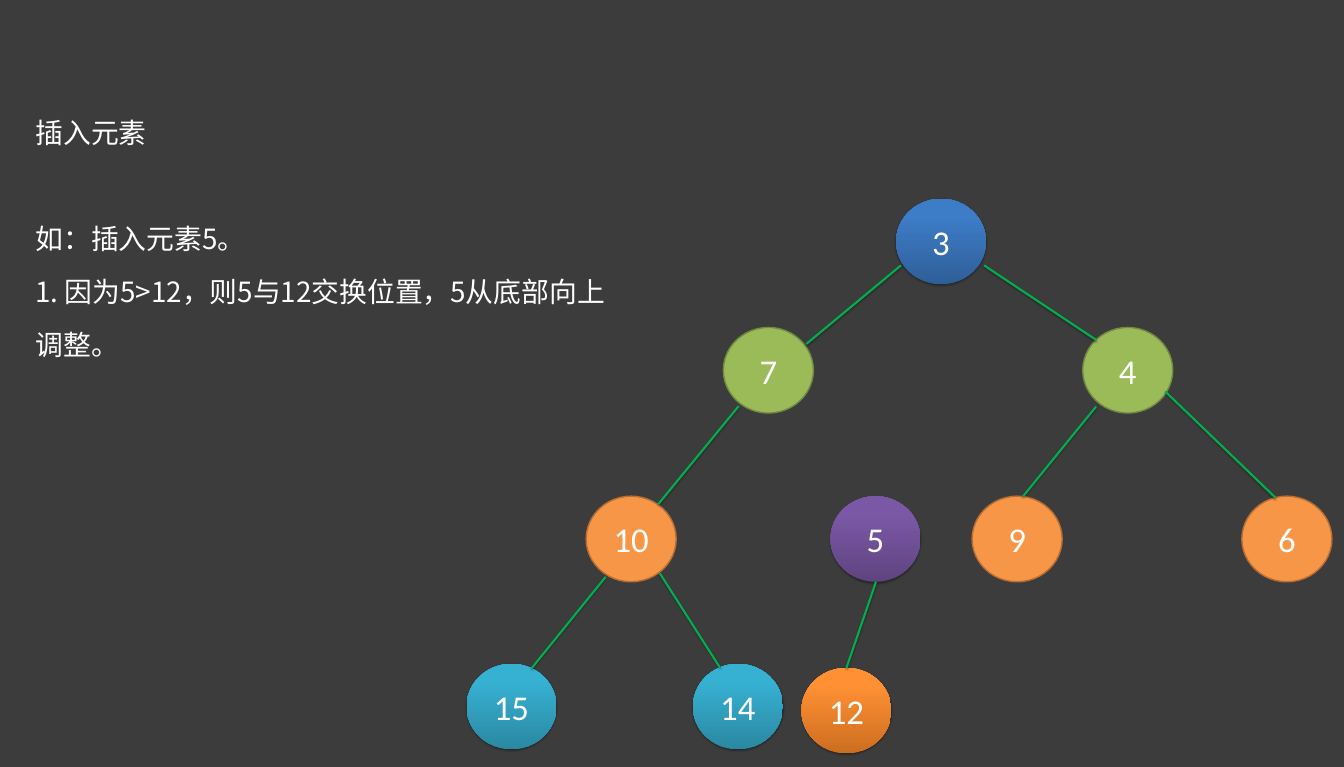
from lxml.etree import SubElement
from pptx import Presentation
from pptx.dml.color import RGBColor
from pptx.enum.shapes import MSO_CONNECTOR, MSO_SHAPE
from pptx.enum.text import MSO_ANCHOR, MSO_AUTO_SIZE, PP_ALIGN
from pptx.oxml import parse_xml
from pptx.oxml.ns import nsdecls, qn
from pptx.util import Inches, Pt

STRAIGHT = MSO_CONNECTOR.STRAIGHT
OVAL = MSO_SHAPE.OVAL
TOP, MIDDLE = MSO_ANCHOR.TOP, MSO_ANCHOR.MIDDLE
LEFT, CENTER = PP_ALIGN.LEFT, PP_ALIGN.CENTER

BACKGROUND = RGBColor(0x3C, 0x3C, 0x3C)
WHITE = RGBColor(0xFF, 0xFF, 0xFF)
EDGE_GREEN = RGBColor(0x00, 0xB0, 0x50)
GREEN, GREEN_LINE = RGBColor(0x9B, 0xBB, 0x59), RGBColor(0x73, 0x8A, 0x42)
ORANGE, ORANGE_LINE = RGBColor(0xF7, 0x96, 0x46), RGBColor(0xB7, 0x6F, 0x34)
BLUE_DARK, BLUE = RGBColor(0x2F, 0x5F, 0x99), RGBColor(0x3D, 0x7C, 0xC7)
PURPLE_DARK, PURPLE = RGBColor(0x5F, 0x44, 0x80), RGBColor(0x7B, 0x58, 0xA6)
TEAL_DARK, TEAL = RGBColor(0x2A, 0x88, 0xA2), RGBColor(0x37, 0xB1, 0xD2)
AMBER_DARK, AMBER = RGBColor(0xCC, 0x6E, 0x20), RGBColor(0xFF, 0x90, 0x34)

# Node centres, in percent of the slide: label, x, y
FLAT_NODES = [
    ("7", 57.17, 48.27, GREEN, GREEN_LINE),
    ("4", 83.91, 48.27, GREEN, GREEN_LINE),
    ("10", 46.96, 70.27, ORANGE, ORANGE_LINE),
    ("9", 75.68, 70.27, ORANGE, ORANGE_LINE),
    ("6", 95.75, 70.27, ORANGE, ORANGE_LINE),
]
GRADIENT_NODES = [
    ("3", 70.02, 31.49, BLUE_DARK, BLUE),
    ("5", 65.14, 70.27, PURPLE_DARK, PURPLE),
    ("15", 38.06, 92.13, TEAL_DARK, TEAL),
    ("14", 54.9, 92.13, TEAL_DARK, TEAL),
    ("12", 62.98, 92.66, AMBER_DARK, AMBER),
]
# Edge ends, in percent of the slide: parent x, y, child x, y
EDGES = [
    (67.04, 34.6, 60, 44.84),
    (73.22, 34.6, 81.56, 44.32),
    (54.97, 52.94, 48.98, 65.73),
    (81.56, 53, 76.13, 64.69),
    (86.7, 51.04, 94.9, 64.88),
    (45.07, 75.2, 39.55, 87.14),
    (49.09, 74.74, 53.56, 87.01),
    (65.18, 75.85, 62.98, 87.08),
]


class HeapSlide:
    node_font, text_font = "Calibri", "Noto Sans CJK SC"
    node_size, text_size = Pt(50), Pt(40)
    line_height = Pt(76.1)
    node_width, node_height = 6.7, 11.16

    def __init__(self, presentation):
        self.width = presentation.slide_width
        self.height = presentation.slide_height
        self.slide = presentation.slides.add_slide(presentation.slide_layouts[1])
        fill = self.slide.background.fill
        fill.solid()
        fill.fore_color.rgb = BACKGROUND

    def place(self, x, y):
        """Turn percentages of the slide into lengths."""
        return int(self.width * x / 100), int(self.height * y / 100)

    def shadow(self, shape):
        properties = shape._element.spPr
        for effects in properties.findall(qn("a:effectLst")):
            properties.remove(effects)
        properties.append(parse_xml(
            f'<a:effectLst {nsdecls("a")}>'
            f'<a:outerShdw blurRad="{Pt(3.1)}" dist="{Pt(1.8)}" dir="5400000" rotWithShape="0">'
            '<a:srgbClr val="000000"><a:alpha val="35000"/></a:srgbClr>'
            '</a:outerShdw></a:effectLst>'))

    def node(self, label, x, y):
        shape = self.slide.shapes.add_shape(
            OVAL,
            *self.place(x - self.node_width / 2, y - self.node_height / 2),
            *self.place(self.node_width, self.node_height))
        shape.shadow.inherit = False
        frame = shape.text_frame
        frame.text = label
        frame.vertical_anchor = MIDDLE
        paragraph = frame.paragraphs[0]
        paragraph.alignment = CENTER
        font = paragraph.runs[0].font
        font.name, font.size = self.node_font, self.node_size
        font.color.rgb = WHITE
        return shape

    def flat_node(self, label, x, y, color, outline):
        shape = self.node(label, x, y)
        shape.fill.solid()
        shape.fill.fore_color.rgb = color
        shape.line.color.rgb = outline
        shape.line.width = Pt(2)

    def gradient_node(self, label, x, y, bottom, top):
        shape = self.node(label, x, y)
        shape.line.fill.background()
        shape.fill.gradient()
        shape.fill.gradient_angle = 90
        stops = shape.fill.gradient_stops
        for stop, position, color in zip(stops, (0, 0.8), (bottom, top)):
            stop.position = position
            stop.color.rgb = color
        self.shadow(shape)

    def edge(self, start_x, start_y, end_x, end_y):
        connector = self.slide.shapes.add_connector(
            STRAIGHT, *self.place(start_x, start_y), *self.place(end_x, end_y))
        connector.line.color.rgb = EDGE_GREEN
        connector.line.width = Pt(3)
        self.shadow(connector)

    def text(self, placeholder, top, height, lines):
        placeholder.left, placeholder.top = self.place(2.64, top)
        placeholder.width, placeholder.height = self.place(42.64, height)
        frame = placeholder.text_frame
        frame.text = "\n".join(lines)
        frame.word_wrap = True
        frame.auto_size = MSO_AUTO_SIZE.NONE
        frame.vertical_anchor = TOP
        frame.margin_left = frame.margin_right = 0
        frame.margin_top = frame.margin_bottom = 0
        for paragraph in frame.paragraphs:
            paragraph.alignment = LEFT
            paragraph.line_spacing = self.line_height
            paragraph.space_before = Pt(0)
            properties = paragraph._p.get_or_add_pPr()
            properties.set("marL", "0")
            properties.set("indent", "0")
            SubElement(properties, qn("a:buNone"))
            for run in paragraph.runs:
                run.font.size, run.font.name = self.text_size, self.text_font
                run.font.color.rgb = WHITE
                east_asian = SubElement(run.font._element, qn("a:ea"))
                east_asian.set("typeface", self.text_font)


def main():
    presentation = Presentation()
    presentation.slide_width = Inches(26.85)
    presentation.slide_height = Inches(15.32)
    heap = HeapSlide(presentation)
    title, body = heap.slide.placeholders
    heap.text(title, 12.6, 6.9, ["插入元素"])
    heap.text(body, 26.4, 20.7, [
        "如：插入元素5。",
        "1. 因为5>12，则5与12交换位置，5从底部向上调整。",
    ])
    for node in FLAT_NODES:
        heap.flat_node(*node)
    for node in GRADIENT_NODES:
        heap.gradient_node(*node)
    for edge in EDGES:
        heap.edge(*edge)
    presentation.save("out.pptx")


if __name__ == "__main__":
    main()
